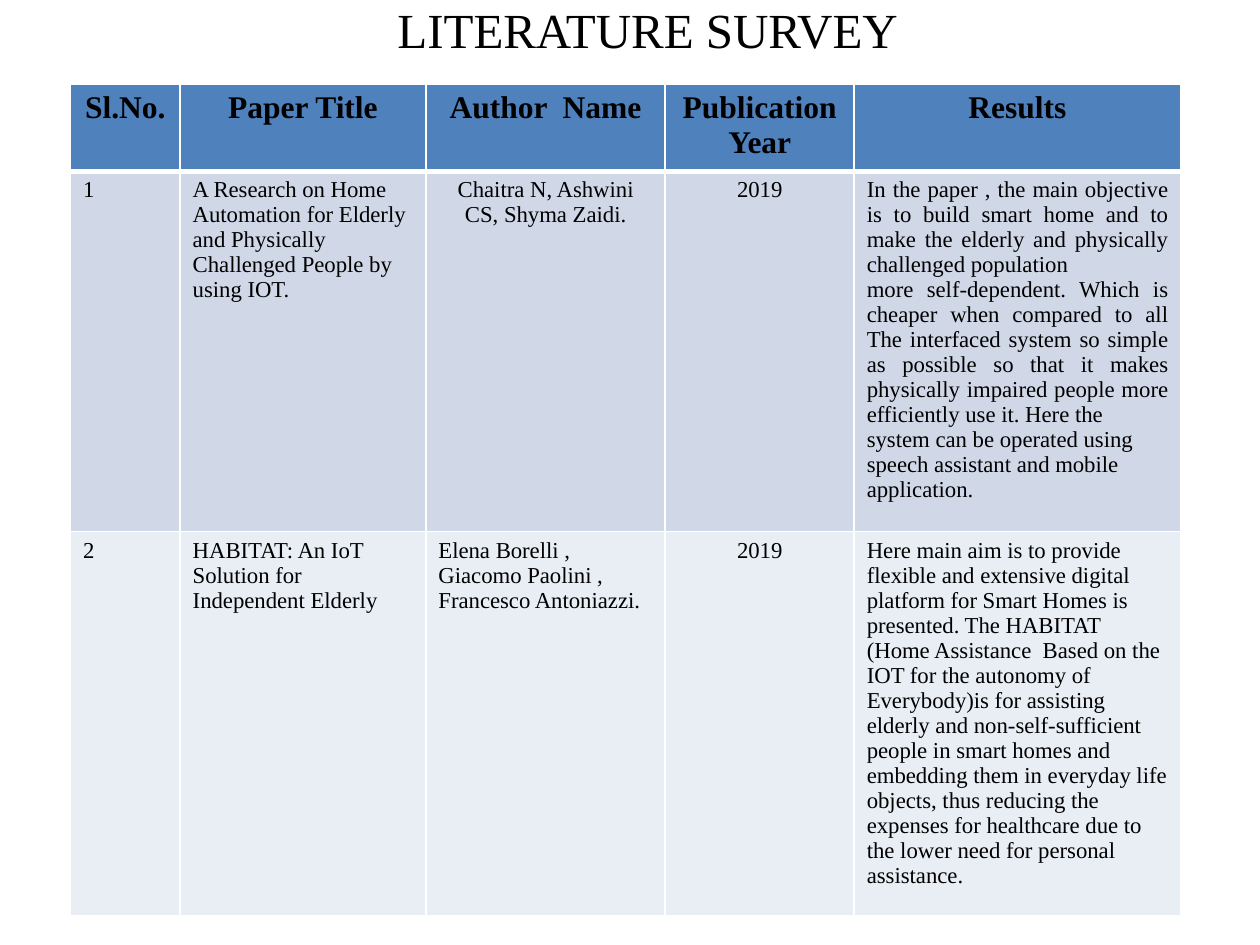
from dataclasses import dataclass

from lxml import etree
from pptx import Presentation
from pptx import util as u
from pptx.dml import color
from pptx.enum import text
from pptx.oxml import ns

LEFT, CENTER, JUSTIFY = text.PP_ALIGN.LEFT, text.PP_ALIGN.CENTER, text.PP_ALIGN.JUSTIFY


@dataclass(frozen=True)
class Theme:
    """Colours, font and type sizes of the slide."""
    font: str = "Times New Roman"
    ink: str = "000000"
    border: str = "FFFFFF"
    header: str = "4F81BD"
    bands: tuple[str, str] = ("D0D8E8", "E9EDF4")
    title_size: int = 28
    header_size: int = 18
    body_size: int = 13


@dataclass(frozen=True)
class Cell:
    """Paragraphs of a table cell and their alignment."""
    paragraphs: tuple[str, ...]
    align: text.PP_ALIGN = LEFT


@dataclass(frozen=True)
class Row:
    """Cells of a table row with its height, fill and type."""
    height: float
    fill: str
    size: int
    bold: bool
    bottom_line: float
    cells: tuple[Cell, ...]


THEME = Theme()
COLUMN_SHARES = (8.7, 19.5, 19, 15, 25.9)
HEADINGS = ("Sl.No.", "Paper Title", "Author  Name", "Publication Year", "Results")
ROWS = (
    Row(9.2, THEME.header, THEME.header_size, True, 3,
        tuple(Cell((heading,), CENTER) for heading in HEADINGS)),
    Row(38.13, THEME.bands[0], THEME.body_size, False, 1, (
        Cell(("1",)),
        Cell(("A Research on Home Automation for Elderly ",
              "and Physically Challenged People by using IOT.")),
        Cell(("Chaitra N, Ashwini CS, Shyma Zaidi.",), CENTER),
        Cell(("2019",), CENTER),
        Cell(("In the paper , the main objective is to build smart home and to make the "
              "elderly and physically challenged population ",
              "more self-dependent. Which is cheaper when compared to all The interfaced "
              "system so simple as possible so that it makes physically impaired people "
              "more efficiently use it. Here the ",
              "system can be operated using ",
              "speech assistant and mobile ",
              "application."), JUSTIFY))),
    Row(40.67, THEME.bands[1], THEME.body_size, False, 1, (
        Cell(("2",)),
        Cell(("HABITAT: An IoT Solution for Independent Elderly",)),
        Cell(("Elena Borelli , Giacomo Paolini , Francesco Antoniazzi.",)),
        Cell(("2019",), CENTER),
        Cell(("Here main aim is to provide flexible and extensive digital platform for "
              "Smart Homes is presented. The HABITAT (Home Assistance  Based on the IOT "
              "for the autonomy of Everybody)is for assisting elderly and "
              "non-self-sufficient people in smart homes and embedding them in everyday "
              "life objects, thus reducing the expenses for healthcare due to the lower "
              "need for personal assistance.",)))),
)

presentation = Presentation()
presentation.slide_width, presentation.slide_height = u.Inches(10), u.Inches(7.5)


def across(percent: float) -> int:
    """Return a percentage of the slide width."""
    return round(presentation.slide_width * percent / 100)


def down(percent: float) -> int:
    """Return a percentage of the slide height."""
    return round(presentation.slide_height * percent / 100)


def write(frame, paragraphs: tuple[str, ...], align, size: int, bold: bool = False) -> None:
    """Fill a text frame with formatted paragraphs."""
    font_values = {"name": THEME.font, "size": u.Pt(size), "bold": bold}
    for index, wording in enumerate(paragraphs):
        paragraph = frame.add_paragraph() if index else frame.paragraphs[0]
        paragraph.alignment = align
        run = paragraph.add_run()
        run.text = wording
        for name, value in font_values.items():
            setattr(run.font, name, value)
        run.font.color.rgb = color.RGBColor.from_string(THEME.ink)


def draw_borders(table_cell, widths: dict[str, float]) -> None:
    """Outline a cell with solid lines of the given point widths."""
    properties = table_cell._tc.get_or_add_tcPr()
    for index, (side, width) in enumerate(widths.items()):
        line = etree.Element(ns.qn(f"a:ln{side}"), w=str(u.Pt(width)))
        fill = etree.SubElement(line, ns.qn("a:solidFill"))
        etree.SubElement(fill, ns.qn("a:srgbClr"), val=THEME.border)
        properties.insert(index, line)


def draw_title(slide, wording: str) -> None:
    """Place and fill the title placeholder."""
    title = slide.shapes.title
    place = {"left": across(6.4), "top": down(-5.33), "width": across(90), "height": down(16.67)}
    for name, value in place.items():
        setattr(title, name, value)
    title.text_frame.vertical_anchor = text.MSO_ANCHOR.MIDDLE
    write(title.text_frame, (wording,), CENTER, THEME.title_size)


def draw_table(slide, rows: tuple[Row, ...]) -> None:
    """Draw the survey table row by row."""
    table = slide.shapes.add_table(
        len(rows), len(COLUMN_SHARES), across(5.6), down(8.93),
        across(sum(COLUMN_SHARES)), down(sum(row.height for row in rows))).table
    for column, share in zip(table.columns, COLUMN_SHARES):
        column.width = across(share)
    top_line = 1
    for table_row, row in zip(table.rows, rows):
        table_row.height = down(row.height)
        for table_cell, cell in zip(table_row.cells, row.cells):
            write(table_cell.text_frame, cell.paragraphs, cell.align, row.size, row.bold)
            table_cell.fill.solid()
            table_cell.fill.fore_color.rgb = color.RGBColor.from_string(row.fill)
            draw_borders(table_cell, {"L": 1, "R": 1, "T": top_line, "B": row.bottom_line})
        top_line = row.bottom_line


survey_slide = presentation.slides.add_slide(presentation.slide_layouts.get_by_name("Title Only"))
draw_title(survey_slide, "LITERATURE SURVEY")
draw_table(survey_slide, ROWS)
presentation.save("out.pptx")
